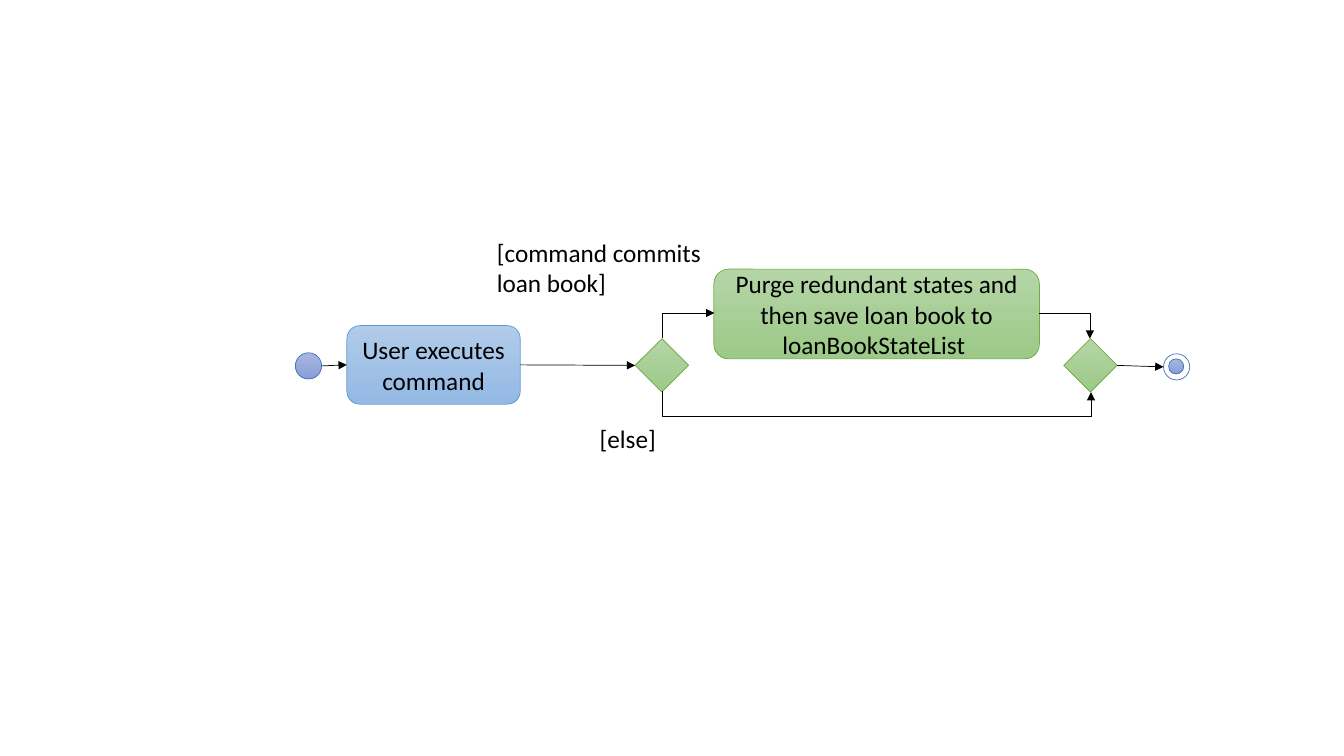
from dataclasses import dataclass
from typing import Any, Optional

from lxml.etree import SubElement
from pptx import Presentation
from pptx.dml.color import RGBColor
from pptx.enum.shapes import MSO_CONNECTOR as Line, MSO_SHAPE as Form
from pptx.enum.text import MSO_ANCHOR as Anchor, PP_ALIGN as Align
from pptx.oxml.ns import qn
from pptx.util import Inches, Pt

BLACK = RGBColor(0x00, 0x00, 0x00)
WHITE = RGBColor(0xFF, 0xFF, 0xFF)


@dataclass(frozen=True)
class Tone:
    top: RGBColor
    base: RGBColor
    edge: RGBColor


INDIGO = Tone(RGBColor(0xA8, 0xB7, 0xDF), RGBColor(0x88, 0x9E, 0xD7), RGBColor(0x44, 0x72, 0xC4))
BLUE = Tone(RGBColor(0xB1, 0xCB, 0xE9), RGBColor(0x93, 0xB9, 0xE4), RGBColor(0x5B, 0x9B, 0xD5))
GREEN = Tone(RGBColor(0xB5, 0xD5, 0xA7), RGBColor(0x9C, 0xC9, 0x87), RGBColor(0x70, 0xAD, 0x47))
HOLLOW = Tone(WHITE, WHITE, INDIGO.edge)
FONT = {"name": "Calibri", "size": Pt(18)}
TOP, LEFT, BOTTOM, RIGHT = range(4)  # connection sites


@dataclass(frozen=True)
class Node:
    form: Form
    x: float
    y: float
    w: float
    h: float
    tone: Tone
    text: str = ""


@dataclass(frozen=True)
class Label:
    x: float
    y: float
    w: float
    h: float
    text: str


@dataclass(frozen=True)
class Bend:
    """Elbow frame before it is turned."""
    preset: str
    x: float
    y: float
    w: float
    h: float
    turn: dict[str, str]
    reach: Optional[int] = None


@dataclass(frozen=True)
class Flow:
    start: str
    exit: int
    end: str
    entry: int
    bend: Optional[Bend] = None


def write(shape: Any, text: str) -> None:
    shape.text_frame.word_wrap = True
    para = shape.text_frame.paragraphs[0]
    run = para.add_run()
    run.text = text
    for key, value in FONT.items():
        setattr(run.font, key, value)
    run.font.color.rgb = BLACK


def draw_node(shapes: Any, node: Node) -> Any:
    shape = shapes.add_shape(node.form, *map(Inches, (node.x, node.y, node.w, node.h)))
    shape.shadow.inherit = False
    if node.tone.top == node.tone.base:
        shape.fill.solid()
        shape.fill.fore_color.rgb = node.tone.base
    else:
        shape.fill.gradient()
        shape.fill.gradient_angle = 270
        for stop, color in zip(shape.fill.gradient_stops, (node.tone.top, node.tone.base)):
            stop.color.rgb = color
    shape.line.color.rgb = node.tone.edge
    shape.line.width = Pt(0.5)
    if node.text:
        write(shape, node.text)
        shape.text_frame.vertical_anchor = Anchor.MIDDLE
        shape.text_frame.paragraphs[0].alignment = Align.CENTER
    return shape


def draw_label(shapes: Any, label: Label) -> None:
    write(shapes.add_textbox(*map(Inches, (label.x, label.y, label.w, label.h))), label.text)


def site(shape: Any, side: int) -> tuple[int, int]:
    across, down = ((1, 0), (0, 1), (1, 2), (2, 1))[side]
    return shape.left + shape.width * across // 2, shape.top + shape.height * down // 2


def set_bend(line: Any, bend: Bend) -> None:
    props = line._element.spPr
    frame = props.find(qn("a:xfrm"))
    for key in ("rot", "flipH", "flipV"):
        frame.attrib.pop(key, None)
    for key, value in bend.turn.items():
        frame.set(key, value)
    for key, value in zip(("left", "top", "width", "height"), (bend.x, bend.y, bend.w, bend.h)):
        setattr(line, key, Inches(value))
    shape = props.find(qn("a:prstGeom"))
    shape.set("prst", bend.preset)
    if bend.reach is not None:
        SubElement(shape.find(qn("a:avLst")), qn("a:gd"), name="adj1", fmla=f"val {bend.reach}")


def draw_flow(shapes: Any, nodes: dict[str, Any], flow: Flow) -> None:
    start, end = nodes[flow.start], nodes[flow.end]
    kind = Line.ELBOW if flow.bend else Line.STRAIGHT
    line = shapes.add_connector(kind, *site(start, flow.exit), *site(end, flow.entry))
    if start.auto_shape_type != Form.OVAL:
        line.begin_connect(start, flow.exit)
    if end.auto_shape_type != Form.OVAL:
        line.end_connect(end, flow.entry)
    if flow.bend:
        set_bend(line, flow.bend)
    line.line.color.rgb = BLACK
    line.line.width = Pt(0.5)
    SubElement(line.line._get_or_add_ln(), qn("a:tailEnd"), type="triangle")
    SubElement(line._element.spPr, qn("a:effectLst"))


NODES = {
    "start": Node(Form.OVAL, 2.93, 3.5, 0.26, 0.26, INDIGO),
    "run": Node(Form.ROUNDED_RECTANGLE, 3.44, 3.23, 1.72, 0.78, BLUE, "User executes command"),
    "split": Node(Form.DIAMOND, 6.3, 3.36, 0.53, 0.53, GREEN),
    "save": Node(Form.ROUNDED_RECTANGLE, 7.08, 2.67, 3.23, 0.89, GREEN,
                 "Purge redundant states and then save loan book to loanBookStateList "),
    "merge": Node(Form.DIAMOND, 10.55, 3.36, 0.53, 0.53, GREEN),
}
FINAL = {
    "ring": Node(Form.OVAL, 11.54, 3.51, 0.26, 0.26, HOLLOW),
    "core": Node(Form.OVAL, 11.59, 3.56, 0.15, 0.15, INDIGO),
}
LABELS = [
    Label(4.83, 2.3, 2.26, 0.71, "[command commits loan book]"),
    Label(5.85, 4.15, 0.93, 0.4, "[else]"),
]
RISE = Bend("bentConnector2", 6.7, 2.97, 0.25, 0.52, {"rot": "5400000", "flipH": "1", "flipV": "1"})
DROP = Bend("bentConnector2", 10.31, 3.11, 0.5, 0.25, {})
UNDER = Bend("bentConnector3", 8.69, 1.76, 0.01, 4.25, {"rot": "16200000", "flipH": "1"}, 2500000)
FLOWS = [
    Flow("start", RIGHT, "run", LEFT),
    Flow("run", RIGHT, "split", LEFT),
    Flow("split", TOP, "save", LEFT, RISE),
    Flow("split", BOTTOM, "merge", BOTTOM, UNDER),
    Flow("save", RIGHT, "merge", TOP, DROP),
    Flow("merge", RIGHT, "ring", LEFT),
]

deck = Presentation()
deck.slide_width, deck.slide_height = Inches(13.33), Inches(7.5)
shapes = deck.slides.add_slide(deck.slide_layouts[6]).shapes

# Nodes, with the end node as a group
drawn = {name: draw_node(shapes, node) for name, node in NODES.items()}
group = shapes.add_group_shape()
drawn |= {name: draw_node(group.shapes, node) for name, node in FINAL.items()}

# Branch conditions
for label in LABELS:
    draw_label(shapes, label)

# Flows between nodes
for flow in FLOWS:
    draw_flow(shapes, drawn, flow)

deck.save("out.pptx")
